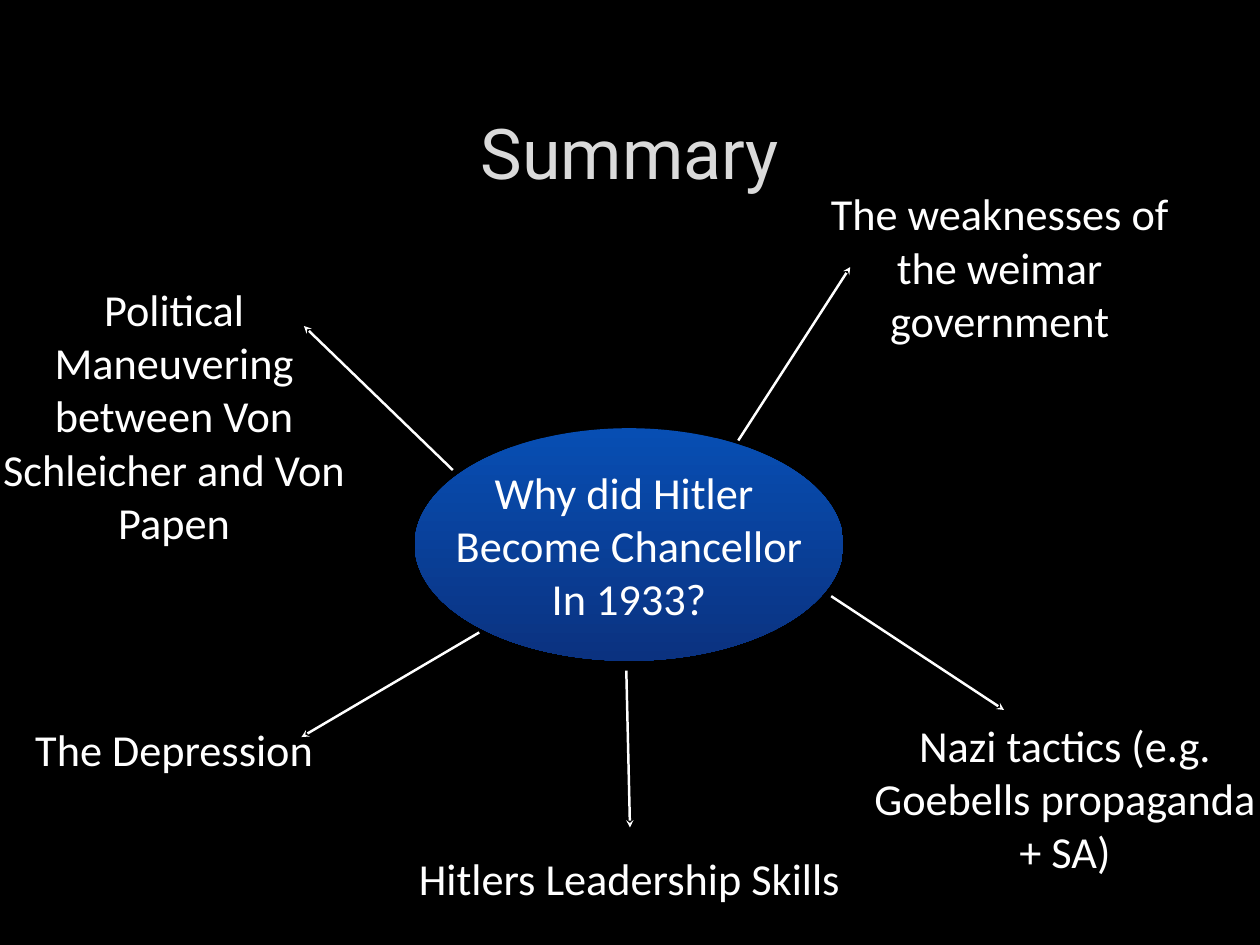
from lxml import etree
from pptx import Presentation
from pptx.dml.color import RGBColor
from pptx.enum.shapes import MSO_CONNECTOR, MSO_SHAPE
from pptx.enum.text import MSO_ANCHOR, MSO_AUTO_SIZE, PP_ALIGN
from pptx.oxml.ns import qn
from pptx.util import Pt

CENTER = PP_ALIGN.CENTER
MIDDLE = MSO_ANCHOR.MIDDLE
FIXED_SIZE = MSO_AUTO_SIZE.NONE
STRAIGHT = MSO_CONNECTOR.STRAIGHT
OVAL = MSO_SHAPE.OVAL
TITLE_ONLY = 5
WHITE = "FFFFFF"

TOPICS = [
    ("The weaknesses of the weimar government",
     (661.5, 151, 302, 131), (600, 358), (691, 217), True),
    ("Political Maneuvering between Von Schleicher and Von Papen",
     (-7, 231, 297, 213), (368, 382), (247, 265), True),
    ("The Depression",
     (20, 584, 243, 49), (389.5, 514), (245, 599), False),
    ("Hitlers Leadership Skills",
     (332.5, 689, 358, 49), (509, 545), (512, 672.5), False),
    ("Nazi tactics (e.g. Goebells propaganda + SA)",
     (702, 583, 327, 131), (675.5, 484.5), (816, 577), True),
]


def color(hex_string):
    return RGBColor.from_string(hex_string)


def lengths(values):
    return [Pt(value) for value in values]


def write_text(shape, text, font="Calibri", size=36, ink=WHITE, wrap=True):
    frame = shape.text_frame
    frame.auto_size = FIXED_SIZE
    frame.word_wrap = wrap
    frame.vertical_anchor = MIDDLE
    frame.margin_left = frame.margin_right = Pt(0)
    frame.margin_top = frame.margin_bottom = Pt(0)
    frame.text = text
    for para in frame.paragraphs:
        para.alignment = CENTER
        para.font.name = font
        para.font.size = Pt(size)
        para.font.color.rgb = color(ink)


def add_title(page, text):
    title = page.shapes.title
    title.left, title.top, title.width, title.height = lengths((77, 68.5, 870, 109))
    write_text(title, text, font="Roboto", size=56.9, ink="DADADA")


def add_hub(page, text):
    hub = page.shapes.add_shape(OVAL, *lengths((337, 348, 348.5, 189)))
    hub.shadow.inherit = False
    hub.line.fill.background()
    hub.fill.gradient()
    hub.fill.gradient_angle = 270
    for stop, shade in zip(hub.fill.gradient_stops, ("074EB3", "0B3280")):
        stop.color.rgb = color(shade)
    write_text(hub, text, wrap=False)


def add_arrow(page, start, end):
    arrow = page.shapes.add_connector(STRAIGHT, *lengths(start + end))
    arrow.line.color.rgb = color(WHITE)
    arrow.line.width = Pt(2)
    outline = arrow.line._get_or_add_ln()
    etree.SubElement(outline, qn("a:tailEnd"), type="stealth")
    etree.SubElement(arrow._element.spPr, qn("a:effectLst"))


def add_label(page, text, bounds, wrap):
    box = page.shapes.add_textbox(*lengths(bounds))
    write_text(box, text, wrap=wrap)


def main():
    deck = Presentation()
    deck.slide_width, deck.slide_height = Pt(1024), Pt(768)
    page = deck.slides.add_slide(deck.slide_layouts[TITLE_ONLY])
    page.background.fill.solid()
    page.background.fill.fore_color.rgb = color("000000")

    add_title(page, "Summary")
    add_hub(page, "Why did Hitler \nBecome Chancellor\nIn 1933?")
    for text, bounds, start, end, wrap in TOPICS:
        add_arrow(page, start, end)
        add_label(page, text, bounds, wrap)
    deck.save("out.pptx")


if __name__ == "__main__":
    main()
